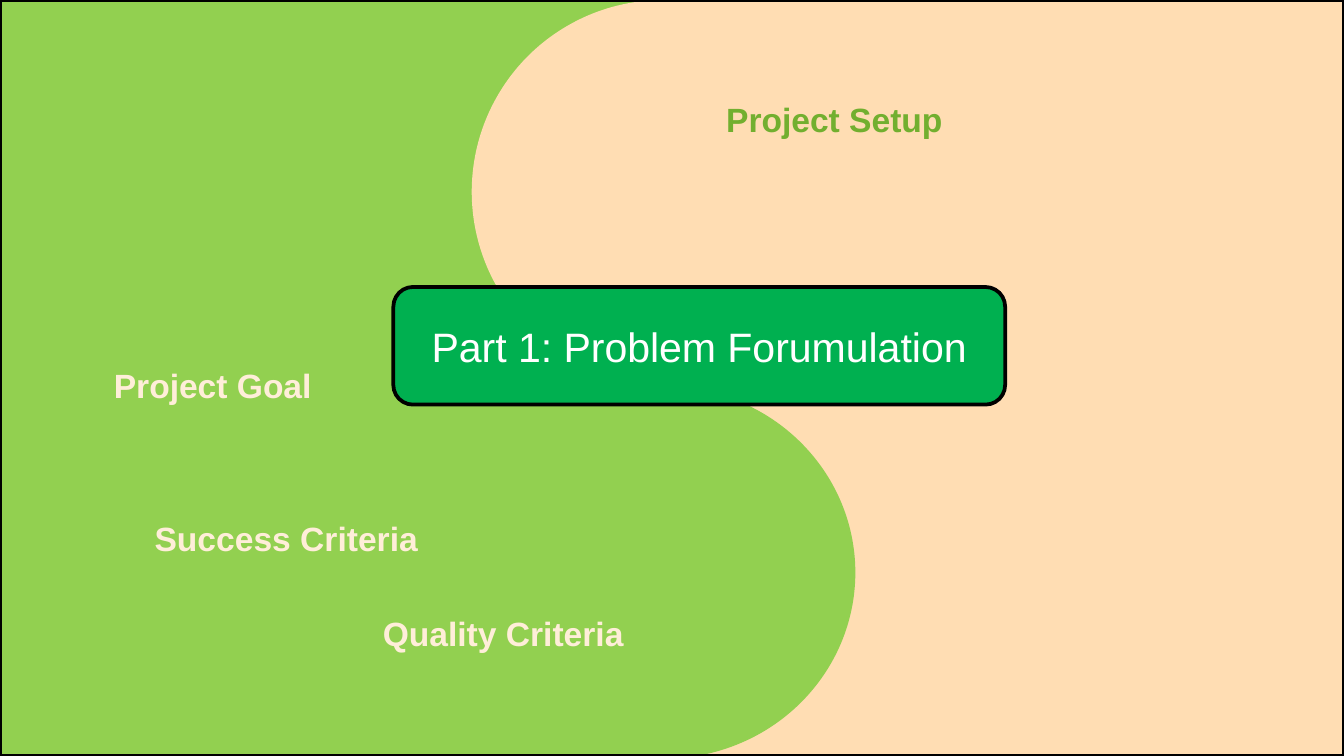
import pptx
import pptx.dml.color
import pptx.enum.shapes
import pptx.enum.text
import pptx.util

EMU_PER_PX = 9525
WIDTH, HEIGHT = 960, 540
MIDDLE = 474
CURVE_LEFT, CURVE_WIDTH = 337, 274
LABEL_HEIGHT = 38
COLORS = {
    "green": "92D050",
    "peach": "FFDDB3",
    "title_fill": "00B050",
    "outline": "000000",
    "white": "FFFFFF",
    "dark_label": "72AF2F",
    "light_label": "FFEED9",
}
LABELS = [
    ("Project Setup", 508, 66, 176, "dark_label"),
    ("Success Criteria", 100, 365, 209, "light_label"),
    ("Project Goal", 71, 256, 162, "light_label"),
    ("Quality Criteria", 263, 433, 193, "light_label"),
]
SHAPES = pptx.enum.shapes.MSO_SHAPE


def px(*lengths):
    return [pptx.util.Emu(length * EMU_PER_PX) for length in lengths]


def rgb(name):
    return pptx.dml.color.RGBColor.from_string(COLORS[name])


class SlideBuilder:
    font = "Arial"
    line_width = 2

    def __init__(self, slide):
        self.slide = slide

    def shape(self, kind, box, fill=None, outline=None):
        shape = self.slide.shapes.add_shape(kind, *px(*box))
        shape.shadow.inherit = False
        if fill:
            shape.fill.solid()
            shape.fill.fore_color.rgb = rgb(fill)
        else:
            shape.fill.background()
        if outline:
            shape.line.color.rgb = rgb(outline)
            shape.line.width = pptx.util.Pt(self.line_width)
        else:
            shape.line.fill.background()
        return shape

    def centered_text(self, frame, text, size, color, bold=False):
        paragraph = frame.paragraphs[0]
        paragraph.alignment = pptx.enum.text.PP_ALIGN.CENTER
        run = paragraph.add_run()
        run.text = text
        run.font.name = self.font
        run.font.size = pptx.util.Pt(size)
        run.font.bold = bold
        run.font.color.rgb = rgb(color)

    def title(self, text, box):
        shape = self.shape(SHAPES.ROUNDED_RECTANGLE, box, "title_fill", "outline")
        shape.text_frame.vertical_anchor = pptx.enum.text.MSO_ANCHOR.MIDDLE
        self.centered_text(shape.text_frame, text, 22, "white")

    def label(self, text, left, top, width, color):
        frame = self.slide.shapes.add_textbox(*px(left, top, width, LABEL_HEIGHT)).text_frame
        frame.word_wrap = False
        frame.auto_size = pptx.enum.text.MSO_AUTO_SIZE.SHAPE_TO_FIT_TEXT
        self.centered_text(frame, text, 18, color, bold=True)


def main():
    presentation = pptx.Presentation()
    presentation.slide_width, presentation.slide_height = px(WIDTH, HEIGHT)
    builder = SlideBuilder(presentation.slides.add_slide(presentation.slide_layouts[6]))

    builder.shape(SHAPES.RECTANGLE, (0, 0, WIDTH, HEIGHT), "green")
    builder.shape(SHAPES.RECTANGLE, (MIDDLE, 0, WIDTH - MIDDLE, HEIGHT), "peach")
    builder.shape(SHAPES.OVAL, (CURVE_LEFT, 0, CURVE_WIDTH, 274), "peach")
    builder.shape(SHAPES.OVAL, (CURVE_LEFT, 276, CURVE_WIDTH, 266), "green")
    builder.shape(SHAPES.RECTANGLE, (0, 0, WIDTH, HEIGHT), outline="outline")

    builder.title("Part 1: Problem Forumulation", (281, 205, 437, 84))
    for label in LABELS:
        builder.label(*label)
    presentation.save("out.pptx")


if __name__ == "__main__":
    main()
